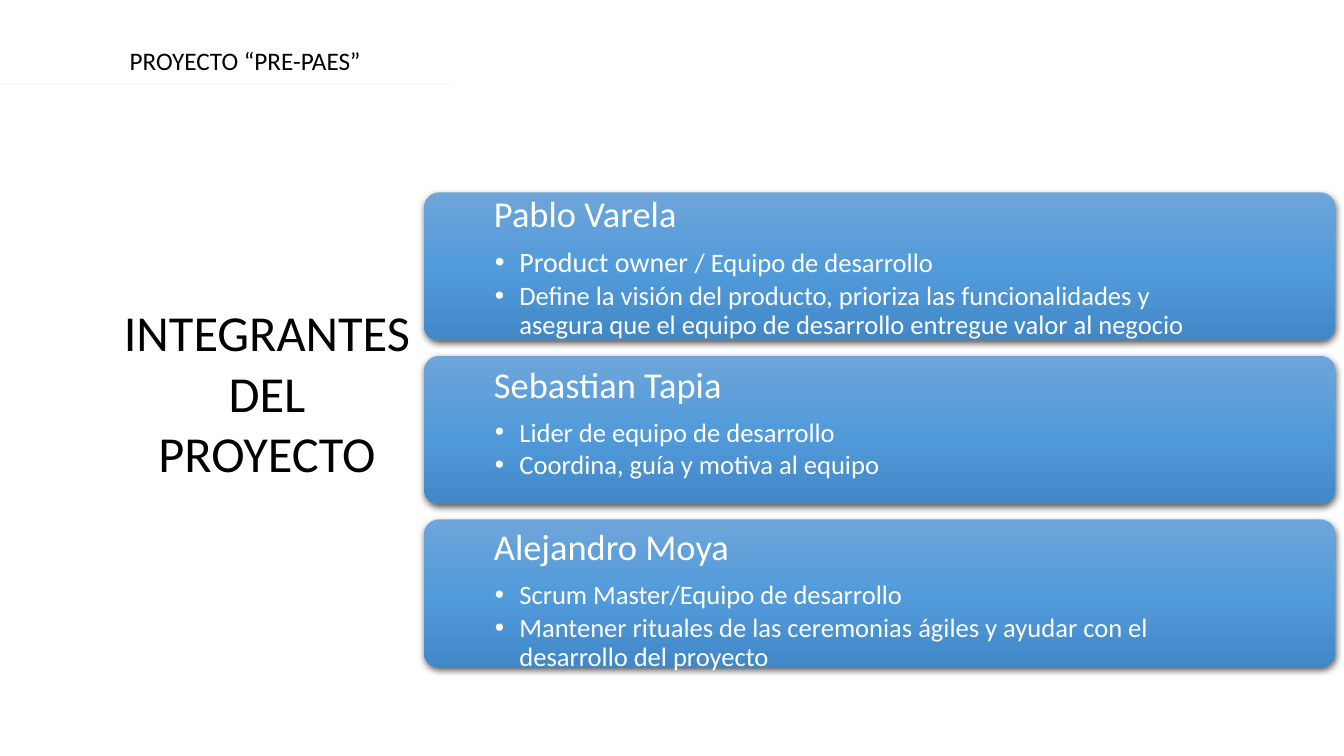
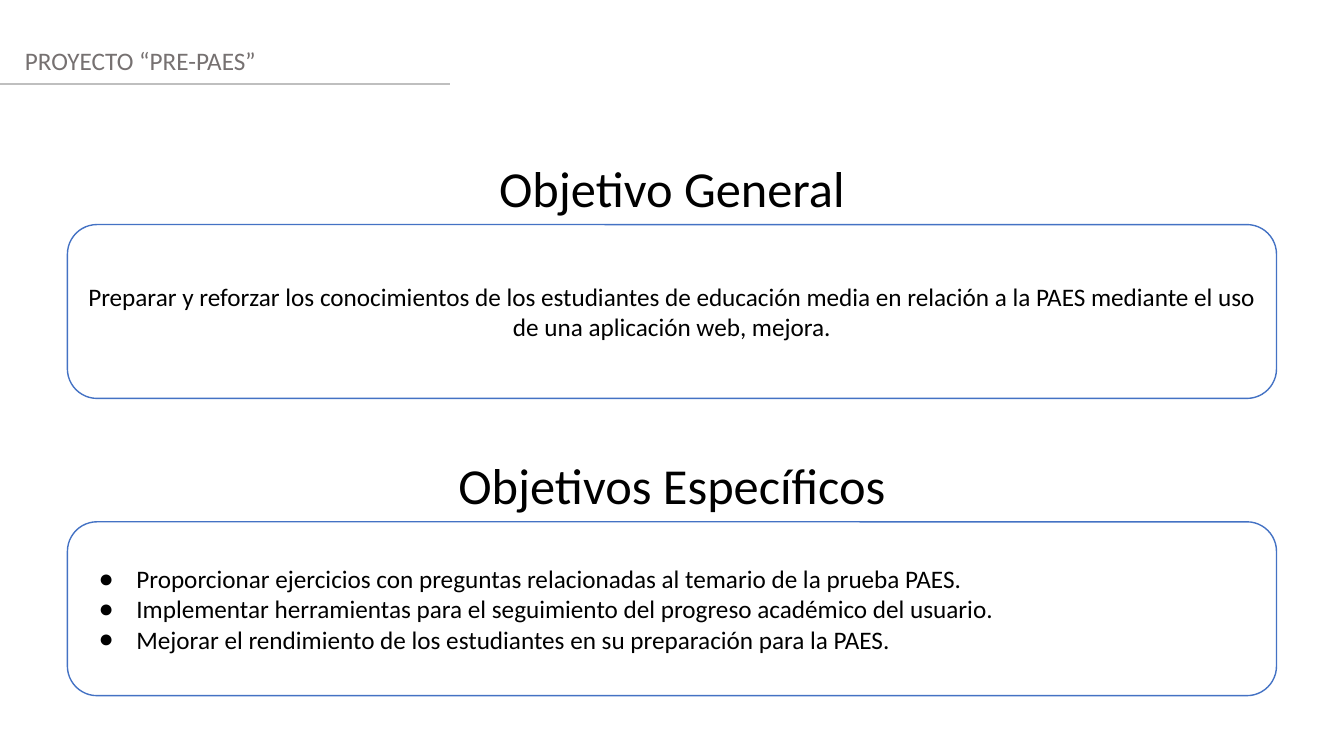
from lxml import etree
from pptx import Presentation
from pptx.dml.color import RGBColor
from pptx.enum.shapes import MSO_CONNECTOR, MSO_SHAPE
from pptx.enum.text import MSO_ANCHOR, MSO_AUTO_SIZE, PP_ALIGN
from pptx.oxml.ns import qn
from pptx.util import Cm, Pt

LEFT, CENTER = PP_ALIGN.LEFT, PP_ALIGN.CENTER
TOP, MIDDLE = MSO_ANCHOR.TOP, MSO_ANCHOR.MIDDLE
NO_FIT = MSO_AUTO_SIZE.NONE
ROUNDED, STRAIGHT = MSO_SHAPE.ROUNDED_RECTANGLE, MSO_CONNECTOR.STRAIGHT

FONT = "Calibri"
BLACK, WHITE, GRAY = "000000", "FFFFFF", "767171"
OUTLINE = "4472C4"
CARD_STOPS = ((0, "6EA5DA"), (50, "529BDA"), (100, "4188C8"))
SLIDE_W, SLIDE_H = 33.87, 19.05
TITLE_ONLY = 5

MEMBERS = [
    ("Pablo Varela", -0.18,
     [[("Product owner ", 20), ("/ Equipo de desarrollo", 19)],
      "Define la visión del producto, prioriza las funcionalidades y asegura "
      "que el equipo de desarrollo entregue valor al negocio"]),
    ("Sebastian Tapia", 0,
     ["Lider de equipo de desarrollo", "Coordina, guía y motiva al equipo"]),
    ("Alejandro Moya", -0.03,
     ["Scrum Master/Equipo de desarrollo",
      "Mantener rituales de las ceremonias ágiles y ayudar con el desarrollo "
      "del proyecto"]),
]
GENERAL = ("Preparar y reforzar los conocimientos de los estudiantes de "
           "educación media en relación a la PAES mediante el uso de una "
           "aplicación web, mejora.")
SPECIFIC = [
    "Proporcionar ejercicios con preguntas relacionadas al temario de la prueba PAES.",
    "Implementar herramientas para el seguimiento del progreso académico del usuario.",
    "Mejorar el rendimiento de los estudiantes en su preparación para la PAES.",
]


def rgb(value):
    return RGBColor.from_string(value)


def add_text(tf, text, size=18, color=BLACK, align=LEFT, spacing=None,
             before=0, bullet=None, indent=0, hanging=0):
    p = tf.paragraphs[0]
    if p.runs:
        p = tf.add_paragraph()
    p.alignment = align
    p.space_before = Pt(before)
    if spacing:
        p.line_spacing = spacing
    if bullet:
        pPr = p._p.get_or_add_pPr()
        pPr.set("marL", str(Cm(indent)))
        pPr.set("indent", str(-Cm(hanging)))
        etree.SubElement(pPr, qn("a:buFont")).set("typeface", "Arial")
        etree.SubElement(pPr, qn("a:buChar")).set("char", bullet)
    for part, part_size in [(text, size)] if isinstance(text, str) else text:
        r = p.add_run()
        r.text = part
        r.font.name = FONT
        r.font.size = Pt(part_size)
        r.font.color.rgb = rgb(color)


def setup_frame(tf, inset=None, anchor=TOP):
    tf.word_wrap = True
    tf.auto_size = NO_FIT
    tf.vertical_anchor = anchor
    if inset is not None:
        tf.margin_left = tf.margin_right = Cm(inset)
        tf.margin_top = tf.margin_bottom = Cm(inset)
    return tf


def add_box(slide, x, y, w, h, inset=None):
    sp = slide.shapes.add_textbox(Cm(x), Cm(y), Cm(w), Cm(h))
    return setup_frame(sp.text_frame, inset)


def add_panel(slide, x, y, w, h, radius):
    sp = slide.shapes.add_shape(ROUNDED, Cm(x), Cm(y), Cm(w), Cm(h))
    sp.shadow.inherit = False
    sp.adjustments[0] = radius
    return sp


def set_title(slide, text, x, y, w, h):
    sp = slide.shapes.title
    sp.left, sp.top, sp.width, sp.height = Cm(x), Cm(y), Cm(w), Cm(h)
    add_text(setup_frame(sp.text_frame), text, size=36, align=CENTER)


def add_header(slide, x, color, rule_color):
    tf = add_box(slide, x, 1.02, 20, 1.02)
    add_text(tf, "PROYECTO “PRE-PAES”", color=color)
    rule = slide.shapes.add_connector(STRAIGHT, 0, Cm(2.11), Cm(11.35), Cm(2.11))
    rule.line.color.rgb = rgb(rule_color)
    rule.line.width = Pt(1.25)
    etree.SubElement(rule._element.spPr, qn("a:effectLst"))


def style_card(sp):
    sp.line.fill.background()
    sp.fill.gradient()
    sp.fill.gradient_angle = 270
    spPr = sp._element.spPr
    stops = spPr.find(qn("a:gradFill")).find(qn("a:gsLst"))
    for stop in list(stops):
        stops.remove(stop)
    for pos, color in CARD_STOPS:
        stop = etree.SubElement(stops, qn("a:gs"), pos=str(pos * 1000))
        etree.SubElement(stop, qn("a:srgbClr"), val=color)
    shadow = etree.SubElement(
        spPr.find(qn("a:effectLst")), qn("a:outerShdw"), blurRad=str(Pt(4.5)),
        dist=str(Pt(1.5)), dir="5400000", algn="ctr", rotWithShape="0")
    tint = etree.SubElement(shadow, qn("a:srgbClr"), val=BLACK)
    etree.SubElement(tint, qn("a:alpha"), val="63000")


def add_member(slide, x, y, w, h, name, shift, duties):
    style_card(add_panel(slide, x, y, w, h, 0.1))
    tf = add_box(slide, x + 1.48, y + shift, w - 4.02, h, inset=0.28)
    add_text(tf, name, size=26, color=WHITE, spacing=0.9)
    for i, duty in enumerate(duties):
        add_text(tf, duty, size=19, color=WHITE, spacing=0.9,
                 before=3 if i else 9.1, bullet="•", indent=0.64, hanging=0.62)


def add_objective(slide, x, y, w, h):
    sp = add_panel(slide, x, y, w, h, 0.17)
    sp.fill.solid()
    sp.fill.fore_color.rgb = rgb(WHITE)
    sp.line.color.rgb = rgb(OUTLINE)
    sp.line.width = Pt(1)
    return setup_frame(sp.text_frame, anchor=MIDDLE)


def build_team(prs):
    slide = prs.slides.add_slide(prs.slide_layouts[TITLE_ONLY])
    card_h, gap = 3.73, 0.39
    for i, member in enumerate(MEMBERS):
        add_member(slide, 10.69, 4.85 + i * (card_h + gap), 22.96, card_h, *member)
    add_header(slide, 3.02, BLACK, "F5F7FC")
    set_title(slide, "INTEGRANTES DEL PROYECTO", 2.77, 7.47, 7.92, 4.88)


def build_objectives(prs):
    slide = prs.slides.add_slide(prs.slide_layouts[TITLE_ONLY])
    add_header(slide, 0.38, GRAY, "BFBFBF")
    heading_h, panel_x, panel_h = 1.8, 1.7, 4.38
    general_y, specific_y = 3.84, 11.33
    set_title(slide, "Objetivo General", 0, general_y, SLIDE_W, heading_h)
    tf = add_box(slide, 0, specific_y, SLIDE_W, heading_h)
    add_text(tf, "Objetivos Específicos", size=36, align=CENTER)
    general, specific = [
        add_objective(slide, panel_x, y + 1.82, SLIDE_W - 2 * panel_x, panel_h)
        for y in (general_y, specific_y)]
    add_text(general, GENERAL, align=CENTER)
    for goal in SPECIFIC:
        add_text(specific, goal, bullet="●", indent=1.27, hanging=0.95)


def main():
    prs = Presentation()
    prs.slide_width, prs.slide_height = Cm(SLIDE_W), Cm(SLIDE_H)
    build_team(prs)
    build_objectives(prs)
    prs.save("out.pptx")


if __name__ == "__main__":
    main()
